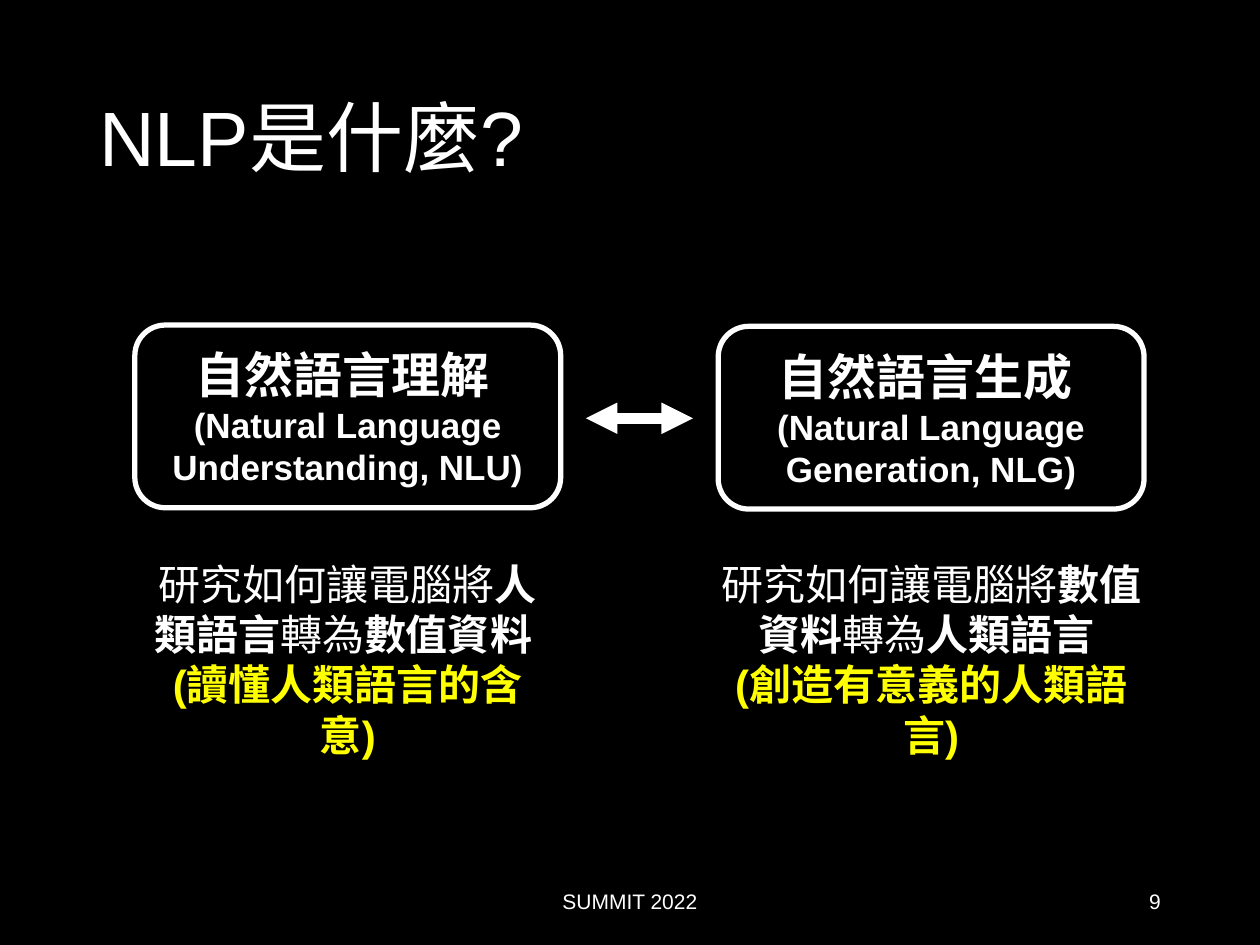
from dataclasses import dataclass
from typing import NamedTuple

from lxml import etree
from pptx import Presentation
from pptx.dml.color import RGBColor
from pptx.enum import shapes, text
from pptx.oxml import ns
from pptx.util import Inches, Pt


@dataclass(frozen=True)
class Theme:
    font: str = "Arial"
    background: RGBColor = RGBColor(0, 0, 0)
    ink: RGBColor = RGBColor(255, 255, 255)
    accent: RGBColor = RGBColor(255, 255, 0)
    title: int = 44
    heading: int = 28
    subheading: int = 20
    body: int = 24
    footer: int = 12
    outline: int = 3
    arrow: int = 6


class Box(NamedTuple):
    left: float
    top: float
    width: float
    height: float

    def emu(self):
        return [column(self.left), row(self.top), column(self.width), row(self.height)]


THEME = Theme()
WIDTH, HEIGHT = Inches(10), Inches(7.5)
COLUMNS, ROWS = 100, 75
CARD_WIDTH, CARD_HEIGHT = 33.8, 14.5


def column(count):
    return round(WIDTH * count / COLUMNS)


def row(count):
    return round(HEIGHT * count / ROWS)


def write_paragraph(para, spans, size, align, color=THEME.ink):
    para.alignment = align
    para.font.name = THEME.font
    para.font.size = Pt(size)
    para.font.color.rgb = color
    for words, bold in spans:
        span = para.add_run()
        span.text = words
        span.font.bold = bold


def add_text(page, box, anchor=text.MSO_ANCHOR.MIDDLE):
    frame = page.shapes.add_textbox(*box.emu()).text_frame
    frame.word_wrap = True
    frame.vertical_anchor = anchor
    return frame


def add_title(page, box, words):
    para = add_text(page, box).paragraphs[0]
    write_paragraph(para, [(words, False)], THEME.title, text.PP_ALIGN.LEFT)
    para.line_spacing = 0.9


def add_footer(page, box, words, align):
    para = add_text(page, box).paragraphs[0]
    write_paragraph(para, [(words, False)], THEME.footer, align)


def add_card(page, box, heading, subheading):
    card = page.shapes.add_shape(shapes.MSO_SHAPE.ROUNDED_RECTANGLE, *box.emu())
    card.shadow.inherit = False
    card.fill.background()
    card.line.color.rgb = THEME.ink
    card.line.width = Pt(THEME.outline)
    frame = card.text_frame
    frame.word_wrap = True
    frame.vertical_anchor = text.MSO_ANCHOR.MIDDLE
    center = text.PP_ALIGN.CENTER
    write_paragraph(frame.paragraphs[0], [(heading, True)], THEME.heading, center)
    write_paragraph(frame.add_paragraph(), [(subheading, True)], THEME.subheading, center)


def add_description(page, box, spans, summary):
    frame = add_text(page, box, text.MSO_ANCHOR.TOP)
    center = text.PP_ALIGN.CENTER
    write_paragraph(frame.paragraphs[0], spans, THEME.body, center)
    write_paragraph(frame.add_paragraph(), [(summary, True)], THEME.body, center, THEME.accent)


def add_double_arrow(page, box):
    left, top, width, height = box.emu()
    arrow = page.shapes.add_connector(
        shapes.MSO_CONNECTOR.STRAIGHT, left, top, left + width, top + height)
    arrow.line.color.rgb = THEME.ink
    arrow.line.width = Pt(THEME.arrow)
    line = arrow.line._get_or_add_ln()
    for end in ("a:headEnd", "a:tailEnd"):
        etree.SubElement(line, ns.qn(end), type="triangle")
    etree.SubElement(arrow._element.spPr, ns.qn("a:effectLst"))


def main():
    deck = Presentation()
    deck.slide_width, deck.slide_height = WIDTH, HEIGHT
    page = deck.slides.add_slide(deck.slide_layouts[6])
    page.background.fill.solid()
    page.background.fill.fore_color.rgb = THEME.background

    add_title(page, Box(6.9, 4, 86.2, 14.5), "NLP是什麼?")
    add_footer(page, Box(33.1, 69.5, 33.8, 4), "SUMMIT 2022", text.PP_ALIGN.CENTER)
    add_footer(page, Box(70.6, 69.5, 22.5, 4), "9", text.PP_ALIGN.RIGHT)

    topics = [
        (10.7, 25.8, 33.8, "自然語言理解 ", "(Natural Language Understanding, NLU)",
         "人類語言", "數值資料 ", "(讀懂人類語言的含意)"),
        (57, 25.9, 36.8, "自然語言生成 ", "(Natural Language Generation, NLG)",
         "數值資料", "人類語言 ", "(創造有意義的人類語言)"),
    ]
    for left, top, text_width, heading, subheading, origin, result, summary in topics:
        add_card(page, Box(left, top, CARD_WIDTH, CARD_HEIGHT), heading, subheading)
        spans = [("研究如何讓電腦將", False), (origin, True), ("轉為", False), (result, True)]
        text_left = left + (CARD_WIDTH - text_width) / 2
        add_description(page, Box(text_left, 43.8, text_width, 13.1), spans, summary)

    add_double_arrow(page, Box(46.5, 33.2, 8.5, 0))
    deck.save("out.pptx")


if __name__ == "__main__":
    main()
